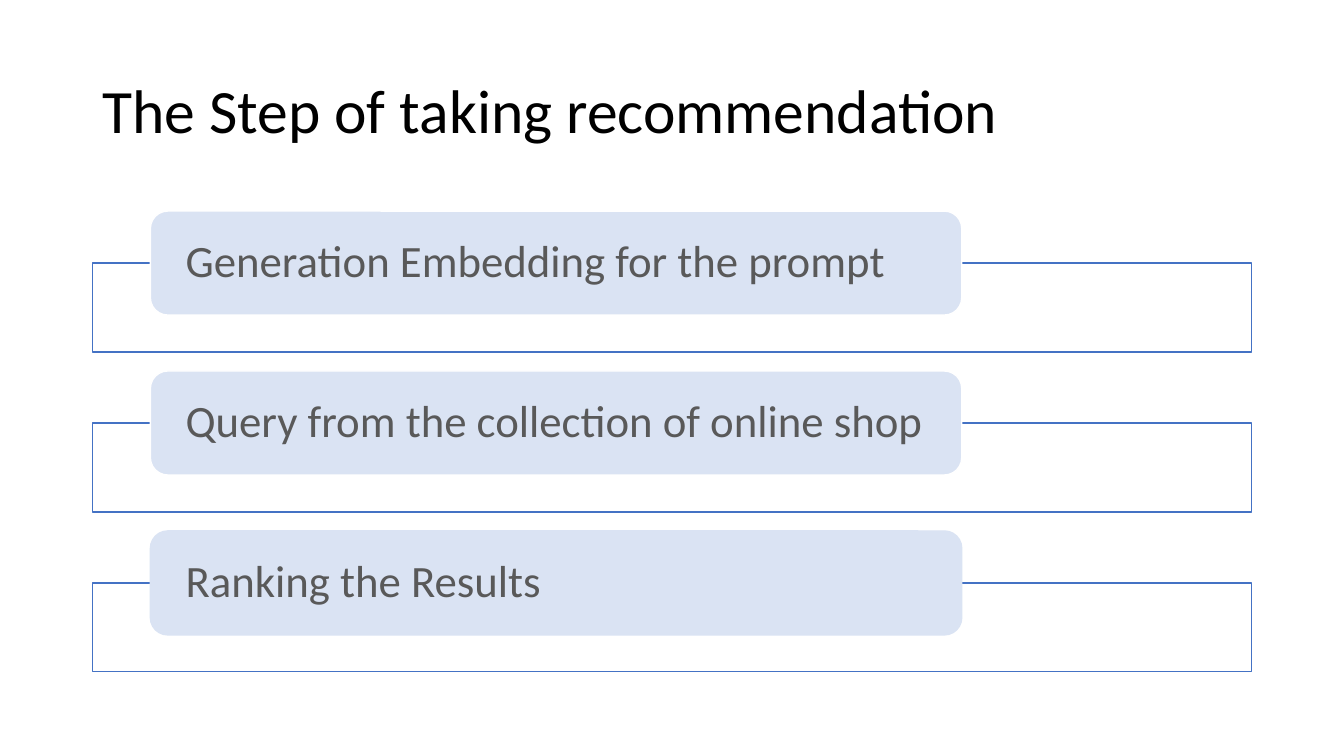
import pptx
import pptx.util
import pptx.dml.color
import pptx.enum.shapes
import pptx.enum.text
import lxml.etree
from pptx.util import Cm

BLACK = pptx.dml.color.RGBColor(0x00, 0x00, 0x00)
WHITE = pptx.dml.color.RGBColor(0xFF, 0xFF, 0xFF)
GREY = pptx.dml.color.RGBColor(0x59, 0x59, 0x59)
BLUE = pptx.dml.color.RGBColor(0x44, 0x72, 0xC4)
PALE_BLUE = pptx.dml.color.RGBColor(0xDA, 0xE3, 0xF3)
FONT = "Calibri"
STEPS = [
    ("Generation Embedding for the prompt", WHITE),
    ("Query from the collection of online shop", WHITE),
    ("Ranking the Results", PALE_BLUE),
]


def write_text(frame, text, size, color):
    """Fill a text frame with one left-aligned, vertically centred line."""
    frame.text = text
    frame.word_wrap = True
    frame.vertical_anchor = pptx.enum.text.MSO_ANCHOR.MIDDLE
    para = frame.paragraphs[0]
    para.alignment = pptx.enum.text.PP_ALIGN.LEFT
    para.line_spacing = 0.9
    span = para.runs[0]
    span.font.name = FONT
    span.font.size = pptx.util.Pt(size)
    span.font.color.rgb = color


def add_box(page, kind, left, top, width, height, fill, line):
    """Draw a flat preset shape with a one-point outline."""
    box = page.shapes.add_shape(kind, left, top, width, height)
    box.shadow.inherit = False
    box.fill.solid()
    box.fill.fore_color.rgb = fill
    box.line.color.rgb = line
    box.line.width = pptx.util.Pt(1)
    return box


def set_opacity(box, percent):
    """Make the solid fill of a shape partly transparent."""
    color = box.fill._xPr.find(".//" + pptx.oxml.ns.qn("a:srgbClr"))
    alpha = lxml.etree.SubElement(color, pptx.oxml.ns.qn("a:alpha"))
    alpha.set("val", str(percent * 1000))


def place_title(page, left, top, width, height):
    """Move the title placeholder into the given box and fill it."""
    title = page.shapes.title
    title.left, title.top, title.width, title.height = left, top, width, height
    write_text(title.text_frame, "The Step of taking recommendation", 44, BLACK)


def add_step(page, text, outline, left, top, width, height):
    """Draw one step: a frame at the given box and a label over its top edge."""
    shapes = pptx.enum.shapes.MSO_SHAPE
    frame = add_box(page, shapes.RECTANGLE, left, top, width, height, WHITE, BLUE)
    set_opacity(frame, 90)
    label_height = Cm(2.62)
    label = add_box(page, shapes.ROUNDED_RECTANGLE, left + Cm(1.46),
                    top - label_height // 2, int(width * 0.7), label_height,
                    PALE_BLUE, outline)
    label.text_frame.margin_left = Cm(0.76)
    label.text_frame.margin_right = Cm(0.5)
    label.text_frame.margin_top = label.text_frame.margin_bottom = 0
    write_text(label.text_frame, text, 32, GREY)


def add_steps(page, left, top, width, pitch):
    """Stack the steps downwards at an equal pitch."""
    for index, (text, outline) in enumerate(STEPS):
        add_step(page, text, outline, left, top + index * pitch, width, Cm(2.24))


def main():
    """Build the slide and save the deck."""
    deck = pptx.Presentation()
    deck.slide_width, deck.slide_height = Cm(33.87), Cm(19.05)
    page = deck.slides.add_slide(deck.slide_layouts[5])
    left, width = Cm(2.33), Cm(29.21)
    place_title(page, left, Cm(1.01), width, Cm(3.68))
    add_steps(page, left, Cm(6.63), width, Cm(4.03))
    deck.save("out.pptx")


if __name__ == "__main__":
    main()
